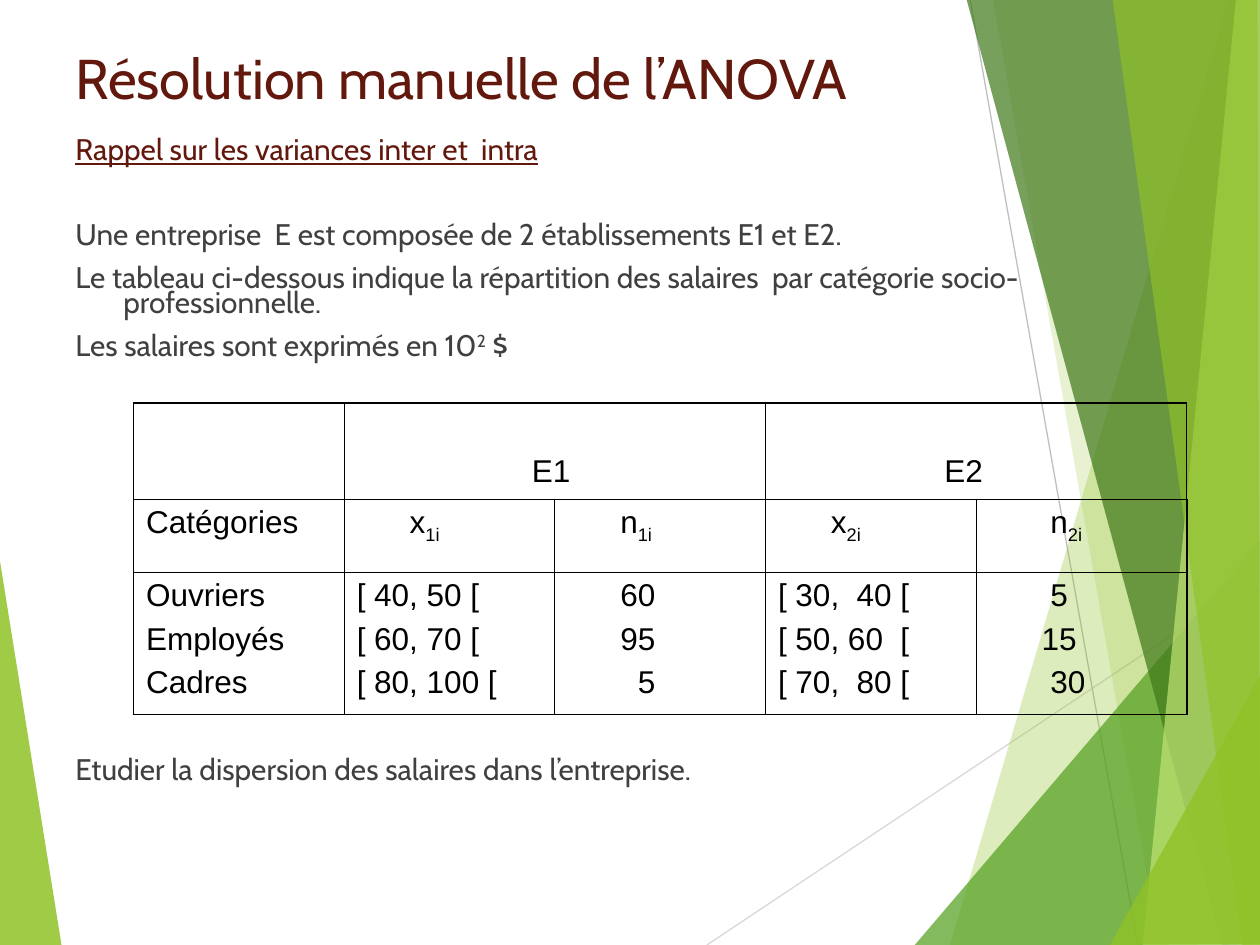
from dataclasses import dataclass

from lxml import etree
from pptx import Presentation
from pptx.dml.color import RGBColor
from pptx.enum.shapes import MSO_CONNECTOR
from pptx.enum.text import MSO_ANCHOR
from pptx.oxml.ns import qn
from pptx.util import Inches, Pt

STRAIGHT = MSO_CONNECTOR.STRAIGHT
TOP, BOTTOM = MSO_ANCHOR.TOP, MSO_ANCHOR.BOTTOM


@dataclass(frozen=True)
class Theme:
    """Colours, fonts and sizes of the slide."""
    heading: str = "62180D"
    body: str = "404040"
    black: str = "000000"
    lime: str = "90C226"
    green: str = "54A021"
    forest: str = "3F7819"
    pale: str = "C0E474"
    light_line: str = "D9D9D9"
    grey_line: str = "BFBFBF"
    text_font: str = "Cabin"
    table_font: str = "Arial"
    title_size: float = 32
    body_size: float = 17
    table_size: float = 18
    hairline: float = 0.75
    outer_border: float = 1.08
    inner_border: float = 0.45


@dataclass(frozen=True)
class Box:
    """Region in inches."""
    left: float
    top: float
    width: float
    height: float

    def lengths(self):
        """Return left, top, width and height as lengths."""
        return [Inches(value) for value in (self.left, self.top, self.width, self.height)]

    def point(self, x, y):
        """Return a point of the region as slide lengths."""
        return Inches(self.left + x), Inches(self.top + y)


THEME = Theme()
SLIDE_BOX = Box(0, 0, 10, 7.5)
TITLE_BOX = Box(0.5, 0.3, 9, 0.77)
BODY_BOX = Box(0.5, 1.07, 9.15, 5.63)
TABLE_BOX = Box(1.06, 3.2, 8.36, 2.47)

RAYS = [
    ((5.61, 7.5), (10.01, 4.57), THEME.light_line),
    ((7.7, 0), (9.03, 7.5), THEME.grey_line),
]
FACETS = [
    ([(-0.01, 4.39), (0.49, 7.51), (-0.01, 7.5)], THEME.lime, 85),
    ([(9.75, 0), (7.54, 7.5), (10.02, 7.51), (10.01, 0.01)], THEME.lime, 30),
    ([(7.88, -0.01), (9.2, 7.5), (10.01, 7.5), (10.01, -0.01)], THEME.lime, 20),
    ([(7.26, 7.5), (10, 4.29), (10.01, 7.5)], THEME.green, 72),
    ([(7.67, -0.01), (9.7, 7.5), (10.01, 7.49), (10.01, -0.01)], THEME.forest, 70),
    ([(9.81, -0.01), (9.07, 7.5), (10.01, 7.5), (10, -0.01)], THEME.pale, 70),
    ([(8.83, -0.01), (9.86, 7.5), (10, 7.5), (9.98, -0.01)], THEME.lime, 65),
    ([(8.81, 7.5), (10.01, 5.35), (10.01, 7.49)], THEME.lime, 80),
]
BODY_PARAGRAPHS = [
    (34.3, [("Une entreprise  E est composée de 2 établissements E1 et E2.", 0)]),
    (10, [("Le tableau ci-dessous indique la répartition des salaires  "
           "par catégorie socio- professionnelle.", 0)]),
    (10, [("Les salaires sont exprimés en 10", 0), ("2", 30), (" $", 0)]),
    (228.5, [("Etudier la dispersion des salaires dans l’entreprise.", 0)]),
]
ROW_HEIGHTS = [0.76, 0.58, 1.13]
COLUMN_COUNT = 5
SITES = [(1, "E1", 1.39), (3, "E2", 1.32)]
SYMBOLS = [("x", "1i", 0.42), ("n", "1i", 0.42), ("x", "2i", 0.42), ("n", "2i", 0.49)]
DATA_COLUMNS = [
    [("Ouvriers", 0), ("Employés", 0), ("Cadres", 0)],
    [("[ 40, 50 [", 0), ("[ 60, 70 [", 0), ("[ 80, 100 [", 0)],
    [("60", 0.42), ("95", 0.42), ("5", 0.56)],
    [("[ 30,  40 [", 0), ("[ 50, 60  [", 0), ("[ 70,  80 [", 0)],
    [("5", 0.49), ("15", 0.42), ("30", 0.49)],
]


def add_run(paragraph, text, font_name, size, color, baseline=0, underline=False):
    """Add one styled run, raised or lowered by a baseline percentage."""
    run = paragraph.add_run()
    run.text = text
    run.font.name = font_name
    run.font.size = Pt(size)
    run.font.color.rgb = RGBColor.from_string(color)
    if underline:
        run.font.underline = True
    if baseline:
        run.font._element.set("baseline", str(baseline * 1000))


def indent(paragraph, left, first=0):
    """Set the left margin and first-line indent in inches."""
    properties = paragraph._p.get_or_add_pPr()
    properties.set("marL", str(Inches(left)))
    properties.set("indent", str(Inches(first)))


def add_text_frame(slide, box):
    """Add a wrapping, top-anchored text box and return its frame."""
    frame = slide.shapes.add_textbox(*box.lengths()).text_frame
    frame.word_wrap = True
    frame.vertical_anchor = TOP
    return frame


def add_decoration(slide, box):
    """Draw the thin rays and translucent green facets."""
    for start, end, color in RAYS:
        ray = slide.shapes.add_connector(STRAIGHT, *box.point(*start), *box.point(*end))
        ray.line.color.rgb = RGBColor.from_string(color)
        ray.line.width = Pt(THEME.hairline)
        etree.SubElement(ray._element.spPr, qn("a:effectLst"))
    for points, color, opacity in FACETS:
        corners = [box.point(*point) for point in points]
        builder = slide.shapes.build_freeform(*corners[0])
        builder.add_line_segments(corners[1:], close=True)
        facet = builder.convert_to_shape()
        facet.shadow.inherit = False
        facet.line.fill.background()
        facet.fill.solid()
        facet.fill.fore_color.rgb = RGBColor.from_string(color)
        color_element = facet._element.spPr.find(".//" + qn("a:srgbClr"))
        etree.SubElement(color_element, qn("a:alpha"), val=str(opacity * 1000))


def add_title(slide, box):
    """Write the slide title."""
    paragraph = add_text_frame(slide, box).paragraphs[0]
    add_run(paragraph, "Résolution manuelle de l’ANOVA",
            THEME.text_font, THEME.title_size, THEME.heading)


def add_body(slide, box):
    """Write the underlined heading and the exercise around the table."""
    frame = add_text_frame(slide, box)
    add_run(frame.paragraphs[0], "Rappel sur les variances inter et  intra",
            THEME.text_font, THEME.body_size, THEME.heading, underline=True)
    for space_before, runs in BODY_PARAGRAPHS:
        paragraph = frame.add_paragraph()
        paragraph.space_before = Pt(space_before)
        for text, baseline in runs:
            add_run(paragraph, text, THEME.text_font, THEME.body_size, THEME.body, baseline)
    for paragraph in frame.paragraphs:
        paragraph.line_spacing = 0.7
        indent(paragraph, 0.38, -0.38)


def add_border(cell, side, width):
    """Draw one black cell border."""
    line = etree.SubElement(cell._tc.get_or_add_tcPr(), qn("a:" + side), w=str(Pt(width)))
    fill = etree.SubElement(line, qn("a:solidFill"))
    etree.SubElement(fill, qn("a:srgbClr"), val=THEME.black)


def format_cell(cell, row, column):
    """Give a cell its borders, heavier on the table edge, and no fill."""
    edges = {"lnL": column == 0, "lnR": column == COLUMN_COUNT - 1,
             "lnT": row == 0, "lnB": row == len(ROW_HEIGHTS) - 1}
    for side, is_outer in edges.items():
        add_border(cell, side, THEME.outer_border if is_outer else THEME.inner_border)
    cell.fill.background()


def write_cell(cell, lines):
    """Write indented lines, each a list of runs with baselines."""
    for index, (runs, left) in enumerate(lines):
        paragraph = cell.text_frame.add_paragraph() if index else cell.text_frame.paragraphs[0]
        if index:
            paragraph.space_before = Pt(4.5)
        indent(paragraph, left)
        for text, baseline in runs:
            add_run(paragraph, text, THEME.table_font, THEME.table_size, THEME.black, baseline)


def add_salary_table(slide, box):
    """Build the table of salaries by category and site."""
    table = slide.shapes.add_table(len(ROW_HEIGHTS), COLUMN_COUNT, *box.lengths()).table
    table.first_row = table.horz_banding = False
    for column in table.columns:
        column.width = Inches(box.width / COLUMN_COUNT)
    for row_index, height in enumerate(ROW_HEIGHTS):
        table.rows[row_index].height = Inches(height)
        for column_index in range(COLUMN_COUNT):
            format_cell(table.cell(row_index, column_index), row_index, column_index)
    for column_index, name, left in SITES:
        cell = table.cell(0, column_index)
        cell.merge(table.cell(0, column_index + 1))
        cell.vertical_anchor = BOTTOM
        cell.margin_bottom = Inches(0.08)
        write_cell(cell, [([(name, 0)], left)])
    write_cell(table.cell(1, 0), [([("Catégories", 0)], 0)])
    for column_index, (symbol, subscript, left) in enumerate(SYMBOLS, 1):
        write_cell(table.cell(1, column_index), [([(symbol, 0), (subscript, -25)], left)])
    for column_index, entries in enumerate(DATA_COLUMNS):
        write_cell(table.cell(2, column_index), [([(text, 0)], left) for text, left in entries])


def main():
    """Build and save the slide."""
    presentation = Presentation()
    presentation.slide_width = Inches(SLIDE_BOX.width)
    presentation.slide_height = Inches(SLIDE_BOX.height)
    slide = presentation.slides.add_slide(presentation.slide_layouts[6])
    add_decoration(slide, SLIDE_BOX)
    add_title(slide, TITLE_BOX)
    add_body(slide, BODY_BOX)
    add_salary_table(slide, TABLE_BOX)
    presentation.save("out.pptx")


if __name__ == "__main__":
    main()
